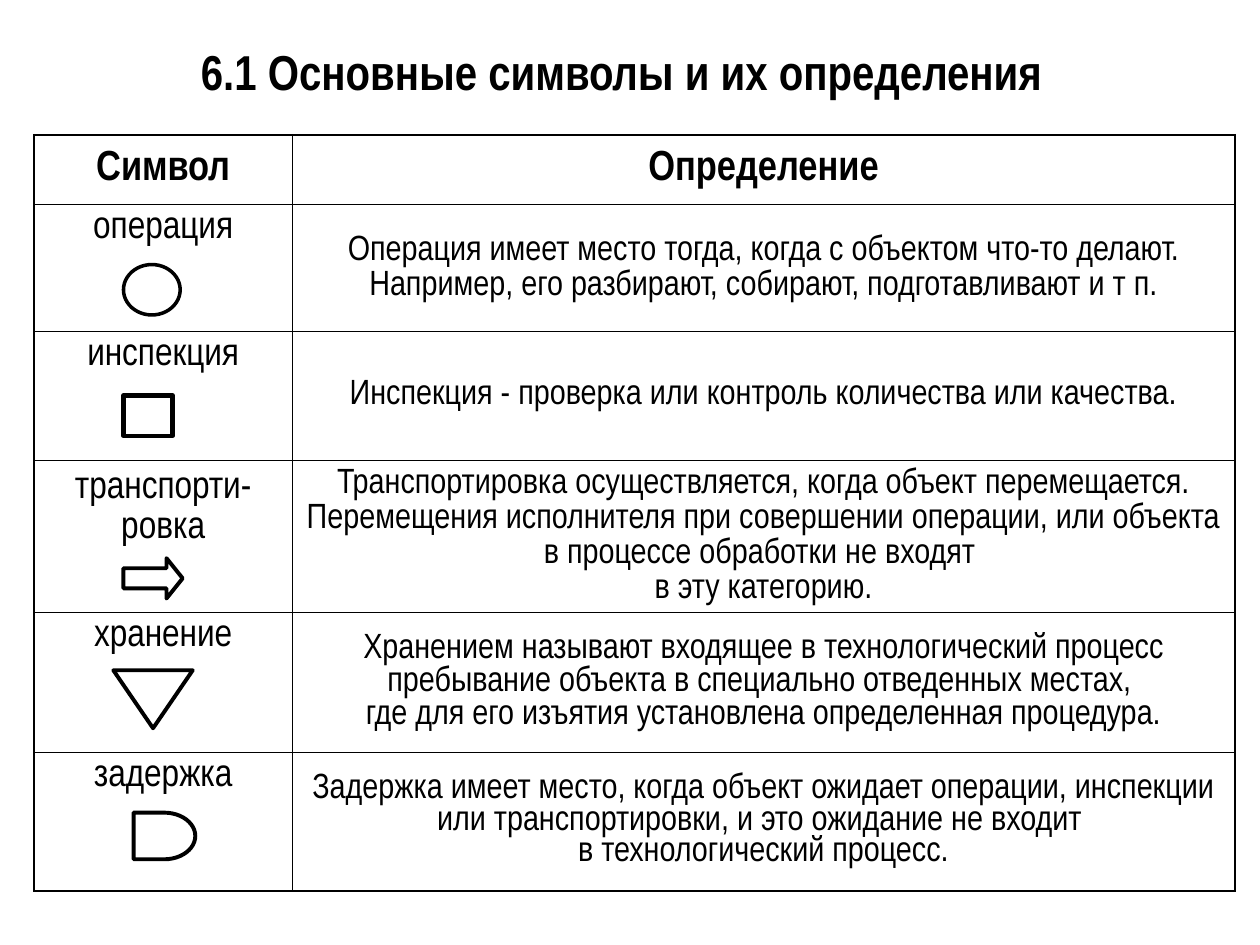
from pptx import Presentation
from pptx.util import Pt
from pptx.dml.color import RGBColor as Rgb
from pptx.enum.shapes import MSO_SHAPE as Kind
from pptx.enum.text import PP_ALIGN as Align, MSO_ANCHOR as Anchor
from pptx.oxml import parse_xml
from pptx.oxml.ns import nsdecls

INK, PAPER = "000000", "FFFFFF"
FACE = "Arial Narrow"
THICK, THIN = 1.08, 0.45

deck = Presentation()
deck.slide_width, deck.slide_height = Pt(720), Pt(540)
unit = deck.slide_width // 100


def paint(fill, color):
    fill.solid()
    fill.fore_color.rgb = Rgb.from_string(color)


def write(frame, text, size, bold=False, pitch=None):
    frame.word_wrap = True
    frame.text = text
    for para in frame.paragraphs:
        para.alignment = Align.CENTER
        if pitch:
            para.line_spacing = Pt(pitch)
        for run in para.runs:
            look = {"name": FACE, "size": Pt(size), "bold": bold}
            for key, value in look.items():
                setattr(run.font, key, value)
            paint(run.font.fill, INK)


slide = deck.slides.add_slide(deck.slide_layouts[5])
title = slide.shapes.title
place = {"left": 4.3, "top": 2.1, "width": 90, "height": 7.1}
for key, value in place.items():
    setattr(title, key, int(value * unit))
write(title.text_frame, "6.1 Основные символы и их определения", 28, True)
title.text_frame.vertical_anchor = Anchor.MIDDLE

rows = [
    (5.5, "Символ", None, "Определение", None),
    (10.1, "операция", None,
     "Операция имеет место тогда, когда с объектом что-то делают. "
     "Например, его разбирают, собирают, подготавливают и т п.", 20),
    (10.2, "инспекция", None,
     "Инспекция - проверка или контроль количества или качества.", None),
    (12.1, "транспорти-ровка", 23,
     "Транспортировка осуществляется, когда объект перемещается. "
     "Перемещения исполнителя при совершении операции, или объекта "
     "в процессе обработки не входят \nв эту категорию.", 20),
    (11.1, "хранение", None,
     "Хранением называют входящее в технологический процесс "
     "пребывание объекта в специально отведенных местах, \n"
     "где для его изъятия установлена определенная процедура.", 19),
    (11, "задержка", None,
     "Задержка имеет место, когда объект ожидает операции, инспекции "
     "или транспортировки, и это ожидание не входит \n"
     "в технологический процесс.", 18),
]
cols = [20.5, 74.8]
last = len(rows) - 1
high = sum(row[0] for row in rows)
area = [int(n * unit) for n in (2.7, 10.7, sum(cols), high)]
grid = slide.shapes.add_table(len(rows), len(cols), *area).table
grid.first_row = grid.horz_banding = False
for col, wide in zip(grid.columns, cols):
    col.width = int(wide * unit)

for r, (tall, name, step, sense, pitch) in enumerate(rows):
    grid.rows[r].height = int(tall * unit)
    for c, (text, lead) in enumerate([(name, step), (sense, pitch)]):
        cell = grid.cell(r, c)
        size = (22, 20)[c] if r else 24
        write(cell.text_frame, text, size, r == 0, lead)
        label = r > 0 and c == 0
        cell.vertical_anchor = Anchor.TOP if label else Anchor.MIDDLE
        edges = {"L": c == 0, "R": c == 1, "T": r == 0, "B": r == last}
        props = cell._tc.get_or_add_tcPr()
        for side, outer in edges.items():
            width = Pt(THICK if outer else THIN)
            props.append(parse_xml(
                f'<a:ln{side} {nsdecls("a")} w="{width}"><a:solidFill>'
                f'<a:srgbClr val="{INK}"/></a:solidFill></a:ln{side}>'))
        cell.fill.background()

signs = [
    (Kind.FLOWCHART_CONNECTOR, 9.8, 21, 4.5, 4, 2),
    (Kind.RECTANGLE, 9.8, 31.4, 3.9, 3.2, 2.5),
    (Kind.RIGHT_ARROW, 9.8, 44.3, 4.7, 3.2, 2.25),
    (Kind.FLOWCHART_MERGE, 9, 53.2, 6.3, 4.6, 2.25),
    (Kind.FLOWCHART_DELAY, 10.6, 64.5, 4.9, 3.7, 2.25),
]
for kind, *spot, weight in signs:
    sign = slide.shapes.add_shape(kind, *[int(n * unit) for n in spot])
    sign.shadow.inherit = False
    paint(sign.fill, PAPER)
    paint(sign.line.fill, INK)
    sign.line.width = Pt(weight)
    if kind == Kind.RIGHT_ARROW:
        sign.adjustments[1] = 0.4

deck.save("out.pptx")
